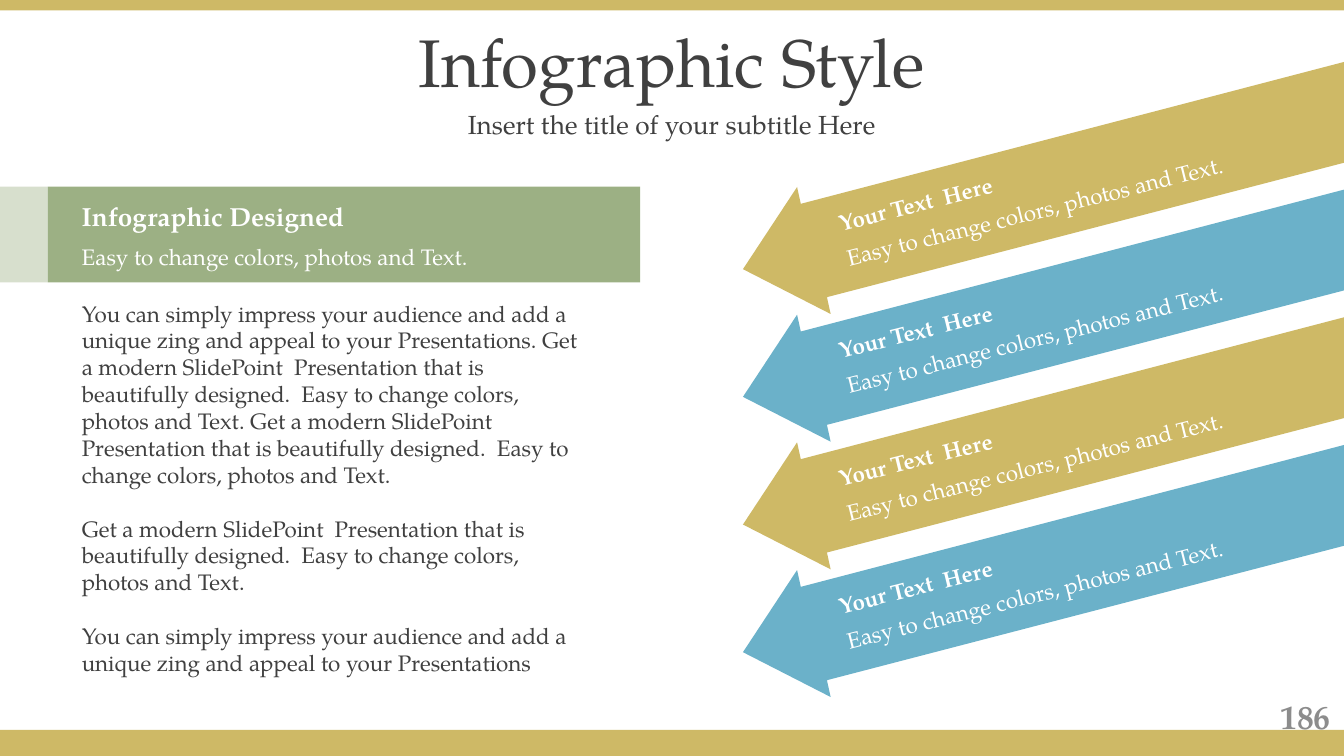
from dataclasses import dataclass

from lxml import etree
from pptx import Presentation
from pptx.dml.color import RGBColor
from pptx.enum.shapes import MSO_SHAPE
from pptx.enum.text import MSO_ANCHOR, MSO_AUTO_SIZE, PP_ALIGN
from pptx.oxml.ns import qn
from pptx.util import Pt

RECT = MSO_SHAPE.RECTANGLE
TOP, MIDDLE = MSO_ANCHOR.TOP, MSO_ANCHOR.MIDDLE
LEFT, CENTER, RIGHT = PP_ALIGN.LEFT, PP_ALIGN.CENTER, PP_ALIGN.RIGHT
FIXED = MSO_AUTO_SIZE.NONE


@dataclass(frozen=True)
class Theme:
    """Colours, font and type sizes of the slide."""
    gold: str = "CEB966"
    blue: str = "6BB1C9"
    green: str = "9CB084"
    dark: str = "404040"
    gray: str = "8C8C8C"
    white: str = "FFFFFF"
    font: str = "TeX Gyre Pagella"
    title: int = 36
    large: int = 18
    lead: int = 14
    body: int = 12


THEME = Theme()
EASY = "Easy to change colors, photos and Text."
MODERN = "Get a modern SlidePoint  Presentation that is beautifully designed.  " + EASY
IMPRESS = ("You can simply impress your audience and add a unique zing "
           "and appeal to your Presentations")
STORY = [f"{IMPRESS}. {MODERN} {MODERN}", MODERN, IMPRESS]
ARROW = [(322, 0), (322, 54), (45, 126), (47, 135), (0, 111), (29, 67), (31, 76)]


def place(shape, box):
    """Move and size a shape to a box given in points."""
    for name, value in zip(("left", "top", "width", "height"), box):
        setattr(shape, name, Pt(value))


def write(shape, lines, size, color, bold=False, align=LEFT, anchor=TOP, gap=0):
    """Fill a shape with formatted paragraphs."""
    frame = shape.text_frame
    frame.text = "\n".join(lines)
    form = {"word_wrap": True, "auto_size": FIXED, "vertical_anchor": anchor}
    for name, value in form.items():
        setattr(frame, name, value)
    style = {"name": THEME.font, "size": Pt(size), "bold": bold}
    for index, para in enumerate(frame.paragraphs):
        para.alignment = align
        para.space_before = Pt(gap if index else 0)
        for name, value in style.items():
            setattr(para.font, name, value)
        para.font.color.rgb = RGBColor.from_string(color)


def label(slide, box, lines, size, color, turn=0, **form):
    """Add a text box, turned by the given degrees."""
    shape = slide.shapes.add_textbox(*map(Pt, box))
    shape.rotation = turn
    write(shape, lines, size, color, **form)


def paint(shape, color):
    """Give a shape a flat fill with no line or shadow."""
    shape.shadow.inherit = False
    shape.fill.solid()
    shape.fill.fore_color.rgb = RGBColor.from_string(color)
    shape.line.fill.background()


def block(slide, box, color):
    """Add a flat rectangle."""
    shape = slide.shapes.add_shape(RECT, *map(Pt, box))
    paint(shape, color)
    return shape


def header(slide, box):
    """Place the title and subtitle in a box."""
    x, y, w, h = box
    split = round(h * 0.67)
    parts = [
        (slide.shapes.title, "Infographic Style", THEME.title, y, split),
        (slide.placeholders[1], "Insert the title of your subtitle Here",
         THEME.lead, y + split, h - split),
    ]
    for shape, text, size, top, high in parts:
        place(shape, (x, top, w, high))
        write(shape, [text], size, THEME.dark, align=CENTER, anchor=MIDDLE)


def banner(slide, box):
    """Draw the green banner with its pale tab."""
    x, y, w, h = box
    tab = 25.7
    block(slide, (x + tab, y, w - tab, h), THEME.green)
    pale = block(slide, (x, y, tab, h), THEME.green)
    tint = pale.fill._xPr.find(".//" + qn("a:srgbClr"))
    etree.SubElement(tint, qn("a:alpha"), val="40000")
    label(slide, (x + 36.7, y + 3.6, 255, 24.5), ["Infographic Designed"],
          THEME.lead, THEME.white, bold=True)
    label(slide, (x + 36.7, y + 26.7, 255, 21.6), [EASY], THEME.body, THEME.white)


def arrow(slide, box, color):
    """Draw one slanted arrow with its heading and detail."""
    x, y, w, h = box
    pen = slide.shapes.build_freeform(*ARROW[0], scale=Pt(1))
    pen.add_line_segments(ARROW[1:], close=True)
    shape = pen.convert_to_shape(Pt(x), Pt(y))
    place(shape, box)
    paint(shape, color)
    notes = [(45.4, 66.2, EASY, False), (41, 47.5, "Your Text  Here", True)]
    for left, top, text, bold in notes:
        label(slide, (x + left, y + top, 244, 21.8), [text],
              THEME.body, THEME.white, turn=346, bold=bold)


def arrows(slide, box, count=4):
    """Stack arrows of alternate colours down a box."""
    x, y, w, h = box
    high = 135
    step = (h - high) / (count - 1)
    for index in range(count):
        color = (THEME.gold, THEME.blue)[index % 2]
        arrow(slide, (x, y + index * step, w, high), color)


def main():
    """Build and save the slide."""
    deck = Presentation()
    deck.slide_width, deck.slide_height = Pt(720), Pt(405)
    slide = deck.slides.add_slide(deck.slide_layouts[0])
    block(slide, (0, 391, 720, 14), THEME.gold)
    block(slide, (0, 0, 720, 5.6), THEME.gold)
    header(slide, (0, 10, 720, 67.6))
    banner(slide, (0, 100, 343, 51.3))
    label(slide, (36.7, 157, 284, 211), STORY, THEME.body, THEME.dark, gap=14.4)
    arrows(slide, (398, 33.2, 322, 340.2))
    label(slide, (552, 373, 168, 21.6), ["186"], THEME.large, THEME.gray,
          bold=True, align=RIGHT, anchor=MIDDLE)
    deck.save("out.pptx")


if __name__ == "__main__":
    main()
